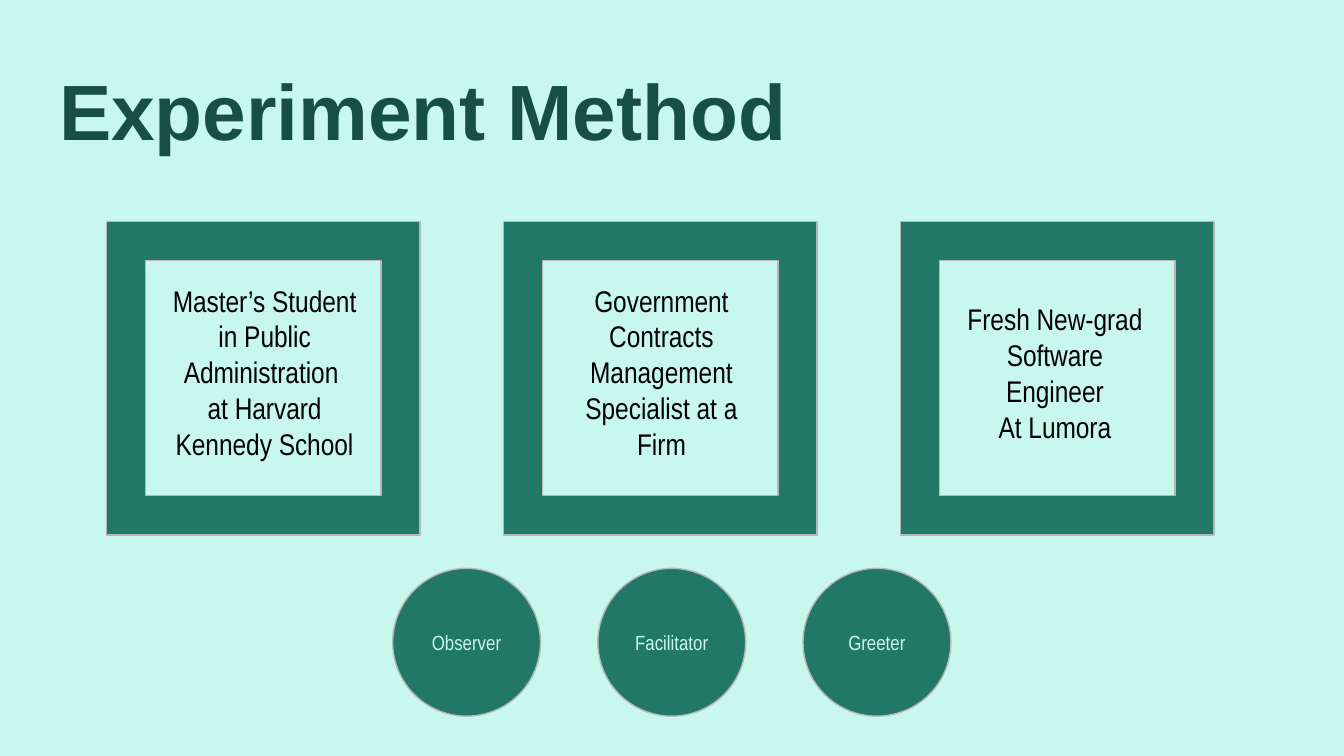
from pptx import Presentation
from pptx.dml.color import RGBColor
from pptx.enum.shapes import MSO_SHAPE
from pptx.enum.text import MSO_ANCHOR, MSO_AUTO_SIZE, PP_ALIGN
from pptx.util import Pt

MINT = RGBColor(0xC8, 0xF7, 0xED)
GREEN = RGBColor(0x21, 0x78, 0x67)
DARK_GREEN = RGBColor(0x17, 0x50, 0x43)
GREY = RGBColor(0xB7, 0xB7, 0xB7)
BLACK = RGBColor(0, 0, 0)

FRAME, OVAL = MSO_SHAPE.FRAME, MSO_SHAPE.OVAL
LEFT, CENTER = PP_ALIGN.LEFT, PP_ALIGN.CENTER
TOP, MIDDLE, BOTTOM = MSO_ANCHOR.TOP, MSO_ANCHOR.MIDDLE, MSO_ANCHOR.BOTTOM
NO_FIT, GROW = MSO_AUTO_SIZE.NONE, MSO_AUTO_SIZE.SHAPE_TO_FIT_TEXT

INSET = 7.2
FRAME_LEFT, FRAME_TOP, FRAME_SIZE, FRAME_STEP = 57, 118.6, 168, 212.7
CIRCLE_LEFT, CIRCLE_TOP, CIRCLE_SIZE, CIRCLE_STEP = 210.4, 304.5, 79.2, 109.9
TEXT_WIDTH = 122.4

# Participant text: left, top, height, paragraphs
PARTICIPANTS = [
    (80.6, 144, 111.6, ["Master’s Student in Public Administration ",
                        "at Harvard Kennedy School"]),
    (293.2, 144, 111.6, ["Government Contracts Management Specialist at a Firm"]),
    (504, 154, 92.2, ["Fresh New-grad", "Software", "Engineer", "At Lumora"]),
]
ROLES = ["Observer", "Facilitator", "Greeter"]


def write(s, lines, size, color, font="Arial Narrow", bold=False,
          align=CENTER, anchor=TOP, fit=NO_FIT):
    tf = s.text_frame
    tf.word_wrap = True
    tf.auto_size = fit
    tf.vertical_anchor = anchor
    tf.margin_left = tf.margin_right = Pt(INSET)
    tf.margin_top = tf.margin_bottom = Pt(INSET)
    for i, line in enumerate(lines):
        p = tf.add_paragraph() if i else tf.paragraphs[0]
        p.alignment = align
        r = p.add_run()
        r.text = line
        r.font.name, r.font.size, r.font.bold = font, Pt(size), bold
        r.font.color.rgb = color


def add_title(sp, text):
    s = sp.title
    s.left, s.top, s.width, s.height = Pt(24.5), Pt(25.2), Pt(671), Pt(65.5)
    write(s, [text], 42, DARK_GREEN, "Arial", True, LEFT, BOTTOM)


def add_green_shape(sp, kind, left, top, size):
    s = sp.add_shape(kind, Pt(left), Pt(top), Pt(size), Pt(size))
    s.shadow.inherit = False
    s.fill.solid()
    s.fill.fore_color.rgb = GREEN
    s.line.color.rgb = GREY
    s.line.width = Pt(0.75)
    return s


def add_participant(sp, left, top, height, lines):
    s = sp.add_textbox(Pt(left), Pt(top), Pt(TEXT_WIDTH), Pt(height))
    write(s, lines, 16, BLACK, fit=GROW)


def main():
    prs = Presentation()
    prs.slide_width, prs.slide_height = Pt(720), Pt(405)
    slide = prs.slides.add_slide(prs.slide_layouts[5])
    slide.background.fill.solid()
    slide.background.fill.fore_color.rgb = MINT
    sp = slide.shapes

    add_title(sp, "Experiment Method")

    # Framed participants
    for i, participant in enumerate(PARTICIPANTS):
        s = add_green_shape(sp, FRAME, FRAME_LEFT + i * FRAME_STEP,
                            FRAME_TOP, FRAME_SIZE)
        s.adjustments[0] = 0.125
        add_participant(sp, *participant)

    # Role circles
    for i, role in enumerate(ROLES):
        s = add_green_shape(sp, OVAL, CIRCLE_LEFT + i * CIRCLE_STEP,
                            CIRCLE_TOP, CIRCLE_SIZE)
        write(s, [role], 11, MINT, anchor=MIDDLE)

    prs.save("out.pptx")


if __name__ == "__main__":
    main()
